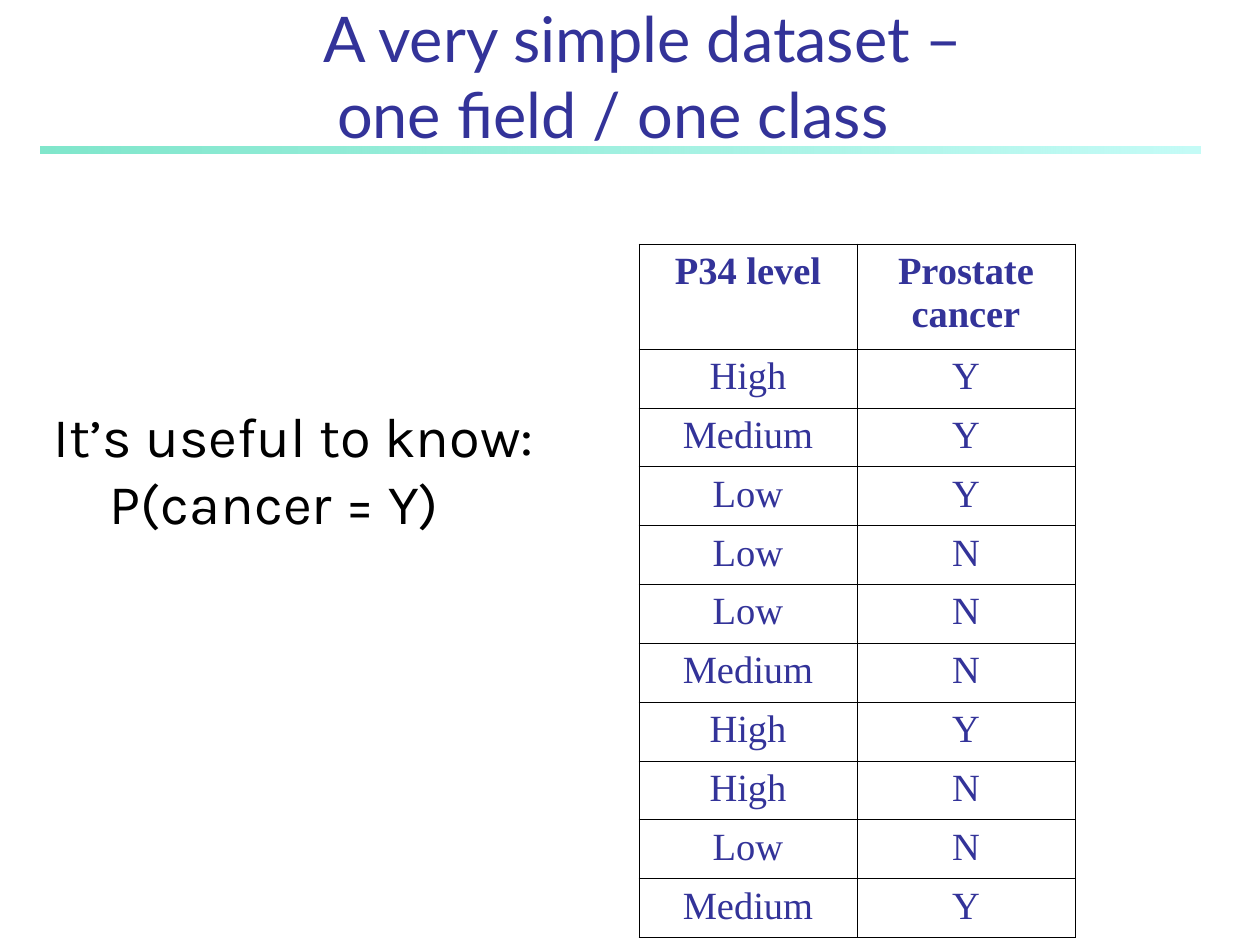
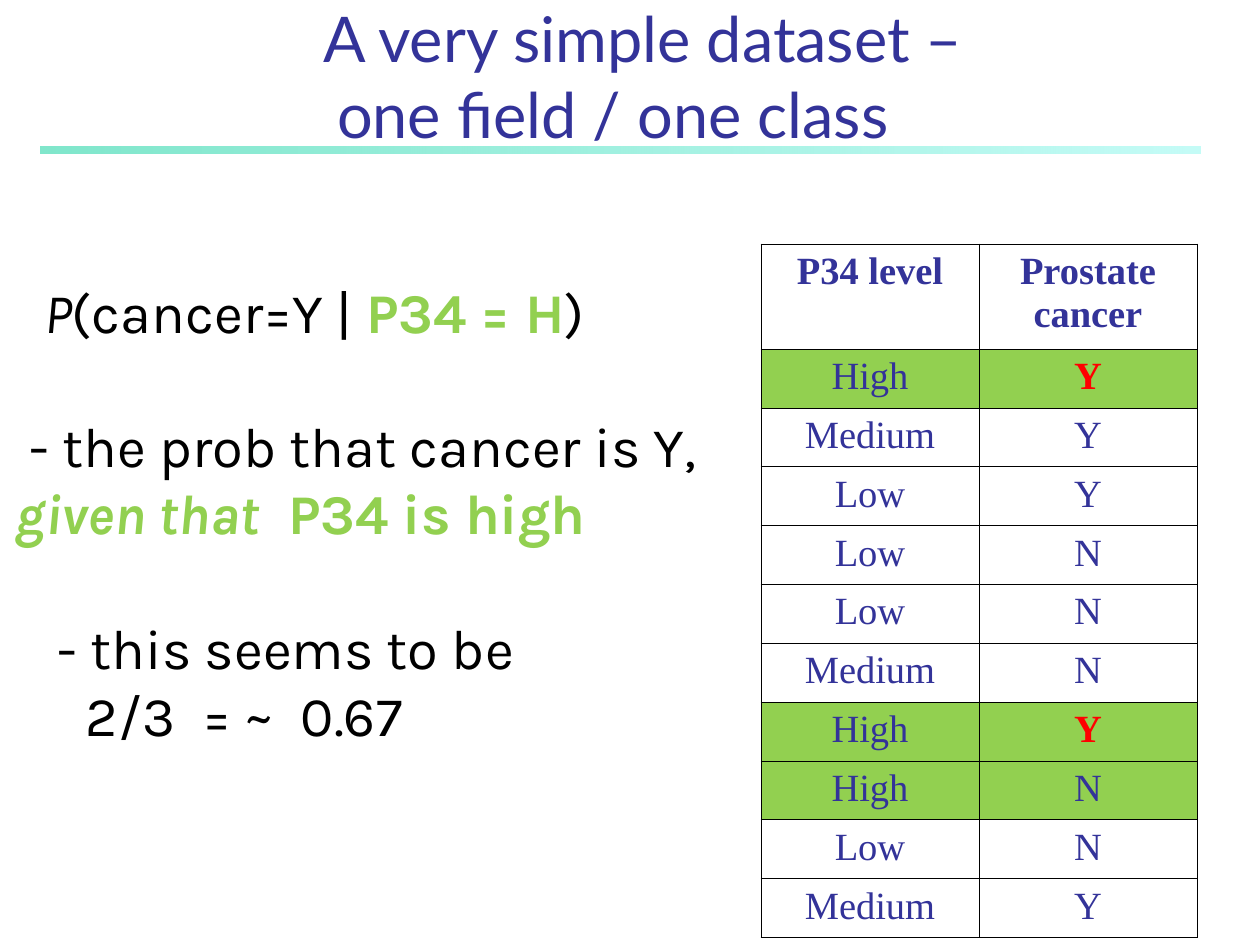
from dataclasses import dataclass

from lxml.etree import SubElement
from pptx import Presentation
from pptx.dml.color import RGBColor as RGB
from pptx.enum.shapes import MSO_SHAPE as SHAPE
from pptx.enum.text import MSO_ANCHOR as ANCHOR, PP_ALIGN as ALIGN
from pptx.oxml.ns import qn
from pptx.util import Emu, Pt


@dataclass(frozen=True)
class Theme:
    """Colours, fonts and type sizes shared by the slides."""
    ink: str = "333399"
    black: str = "000000"
    paper: str = "FFFFFF"
    green: str = "92D050"
    red: str = "FF0000"
    band: tuple = (("00CE98", 50), ("8FF9EF", 52))
    title_font: str = "Lato"
    body_font: str = "Karla"
    table_font: str = "Times New Roman"
    title_size: int = 36
    body_size: int = 32
    table_size: int = 22
    border: float = 0.45
    blank_line: float = 38.5


T = Theme()
TITLE = dict(name=T.title_font, size=Pt(T.title_size), color=T.ink)
BODY = dict(name=T.body_font, size=Pt(T.body_size), color=T.black)
CELL = dict(name=T.table_font, size=Pt(T.table_size), color=T.ink)
GIVEN = dict(color=T.green, bold=True)
HIT = dict(color=T.red, bold=True)

HEADS = ("P34 level", "Prostate cancer")
RECORDS = (
    ("High", "Y"), ("Medium", "Y"), ("Low", "Y"), ("Low", "N"), ("Low", "N"),
    ("Medium", "N"), ("High", "Y"), ("High", "N"), ("Low", "N"), ("Medium", "Y"),
)
INDENT_STEP = 14

USEFUL = (
    (0, 0, [("It’s useful to know:", {})]),
    (4, 0, [("P(cancer = Y)", {})]),
)
CONDITIONAL = (
    (3, 0, [("P", dict(italic=True)), ("(cancer=Y | ", {}),
            ("P34 = H", GIVEN), (")", {})]),
    (2, 1, [("- the prob that cancer is Y,", {})]),
    (1, 0, [("given that", dict(GIVEN, italic=True)), ("  P34 is high", GIVEN)]),
    (4, 1, [("- this seems to be", {})]),
    (6, 0, [("2/3  = ~  0.67", {})]),
)


def px(n):
    """Turn px at 126 to the inch into EMU."""
    return Emu(round(n * 914400 / 126))


def add_run(p, text, fmt):
    """Add a run to a paragraph and set its font from a dict."""
    r = p.add_run()
    r.text = text
    for key, value in fmt.items():
        if key == "color":
            r.font.color.rgb = RGB.from_string(value)
        else:
            setattr(r.font, key, value)


def add_text(slide, box, lines, base, align=ALIGN.LEFT, anchor=ANCHOR.TOP):
    """Add a text box of (indent px, blank lines before, runs) paragraphs."""
    tf = slide.shapes.add_textbox(*map(px, box)).text_frame
    frame = dict(word_wrap=True, vertical_anchor=anchor, margin_left=0,
                 margin_right=0, margin_top=px(5), margin_bottom=px(6))
    for key, value in frame.items():
        setattr(tf, key, value)
    for i, (indent, blanks, runs) in enumerate(lines):
        p = tf.add_paragraph() if i else tf.paragraphs[0]
        p.alignment = align
        p.space_before = Pt(blanks * T.blank_line)
        p._p.get_or_add_pPr().set("marL", str(px(indent)))
        for text, fmt in runs:
            add_run(p, text, {**base, **fmt})


def add_band(slide, box):
    """Add the translucent gradient band under the title."""
    sp = slide.shapes.add_shape(SHAPE.RECTANGLE, *map(px, box))
    sp.shadow.inherit = False
    sp.line.fill.background()
    sp.fill.gradient()
    sp.fill.gradient_angle = 0
    for stop, (color, alpha), pos in zip(sp.fill.gradient_stops, T.band, (0, 1)):
        stop.color.rgb = RGB.from_string(color)
        stop.position = pos
    for clr, (_, alpha) in zip(sp._element.spPr.iter(qn("a:srgbClr")), T.band):
        SubElement(clr, qn("a:alpha"), val=str(alpha * 1000))


def add_title(slide, box):
    """Add the two-line title, its first line set off to the right."""
    lines = ((60, 0, [("A very simple dataset –", {})]),
             (0, 0, [("one field / one class", {})]))
    add_text(slide, box, lines, TITLE, ALIGN.CENTER, ANCHOR.BOTTOM)


def set_borders(cell):
    """Draw a thin black line on each side of a cell."""
    tc_pr = cell._tc.get_or_add_tcPr()
    for i, side in enumerate(("a:lnL", "a:lnR", "a:lnT", "a:lnB")):
        ln = tc_pr.makeelement(qn(side), {"w": str(Pt(T.border))})
        fill = SubElement(ln, qn("a:solidFill"))
        SubElement(fill, qn("a:srgbClr"), val=T.black)
        tc_pr.insert(i, ln)


def fill_cell(cell, text, fill, fmt):
    """Write one centred table cell."""
    cell.fill.solid()
    cell.fill.fore_color.rgb = RGB.from_string(fill)
    p = cell.text_frame.paragraphs[0]
    p.alignment = ALIGN.CENTER
    add_run(p, text, {**CELL, **fmt})
    set_borders(cell)


def add_records(slide, box, level=None):
    """Add the data table, marking the rows of one P34 level."""
    left, top, width, height = box
    rows = (HEADS, *RECORDS)
    table = slide.shapes.add_table(len(rows), len(HEADS), *map(px, box)).table
    table.first_row = table.horz_banding = False
    for col in table.columns:
        col.width = px(width // len(HEADS))
    head_height = 97
    for i, (row, texts) in enumerate(zip(table.rows, rows)):
        row.height = px(head_height if i == 0
                        else (height - head_height) / len(RECORDS))
        marked = texts[0] == level
        for cell, text in zip(row.cells, texts):
            fmt = dict(bold=True) if i == 0 else HIT if marked and text == "Y" else {}
            fill_cell(cell, text, T.green if marked else T.paper, fmt)


def add_notes_text(slide, box, lines):
    """Add the body text, indented in equal steps."""
    steps = [(n * INDENT_STEP, blanks, runs) for n, blanks, runs in lines]
    add_text(slide, box, steps, BODY)


def add_dataset_slide(prs, text_box, lines, table_left, level=None):
    """Add a slide with title, band, data table and body text."""
    slide = prs.slides.add_slide(prs.slide_layouts[6])
    add_band(slide, (41, 147, 1160, 7))
    add_title(slide, (7, 0, 1212, 157))
    add_records(slide, (table_left, 244, 436, 650), level)
    add_notes_text(slide, text_box, lines)


def main():
    """Build and save the two slides."""
    prs = Presentation()
    prs.slide_width, prs.slide_height = px(1260), px(945)
    add_dataset_slide(prs, (54, 396, 540, 145), USEFUL, 639)
    add_dataset_slide(prs, (2, 272, 750, 482), CONDITIONAL, 761, "High")
    prs.save("out.pptx")


if __name__ == "__main__":
    main()
